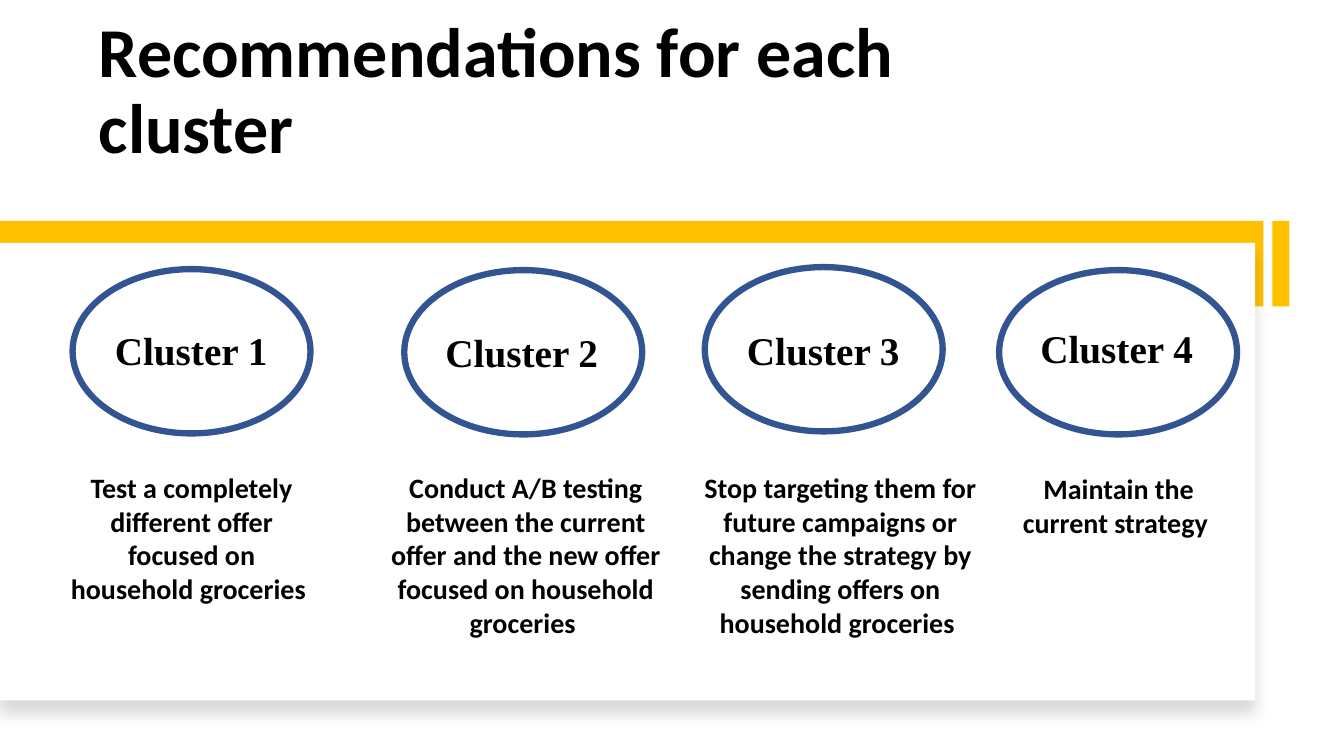
from dataclasses import dataclass

import lxml.etree
import pptx
import pptx.dml.color
import pptx.enum.shapes
import pptx.enum.text
import pptx.oxml.ns
import pptx.util

Inches = pptx.util.Inches
Align = pptx.enum.text.PP_ALIGN
Kind = pptx.enum.shapes.MSO_SHAPE

COLORS = {"gold": "FFC000", "panel": "FFFFFF", "ring": "325491",
          "text": "000000", "shade": "000000"}
RING_W, RING_H = 2.36, 1.63
BAR_TOP, BAR_H = 2.19, 0.85


@dataclass
class Box:
    left: float
    top: float
    width: float
    height: float

    def place(self) -> tuple:
        return tuple(Inches(v) for v in (self.left, self.top, self.width, self.height))


@dataclass
class Cluster:
    name: str
    ring: tuple[float, float]
    label: Box
    advice: str
    body: Box


CLUSTERS = [
    Cluster("Cluster 1", (0.72, 2.67), Box(1.04, 3.19, 1.72, 0.57),
            "Test a completely different offer focused on household groceries ",
            Box(0.54, 4.62, 2.72, 1.45)),
    Cluster("Cluster 2", (4.01, 2.68), Box(4.32, 3.21, 1.74, 0.57),
            "Conduct A/B testing between the current offer and the new offer "
            "focused on household groceries ",
            Box(3.76, 4.62, 2.91, 1.78)),
    Cluster("Cluster 3", (6.99, 2.65), Box(7.31, 3.19, 2.04, 0.57),
            "Stop targeting them for future campaigns or change the strategy "
            "by sending offers on household groceries ",
            Box(6.87, 4.62, 2.93, 1.78)),
    Cluster("Cluster 4", (9.91, 2.68), Box(10.22, 3.17, 1.73, 0.57),
            "Maintain the current strategy ",
            Box(10, 4.63, 2.19, 0.77)),
]


def color(name: str) -> pptx.dml.color.RGBColor:
    return pptx.dml.color.RGBColor.from_string(COLORS[name])


def style(frame, text: str, size: float, font: str, align=Align.LEFT) -> None:
    frame.word_wrap = True
    frame.text = text
    par = frame.paragraphs[0]
    par.alignment = align
    for run in par.runs:
        run.font.size = pptx.util.Pt(size)
        run.font.name = font
        run.font.bold = True
        run.font.color.rgb = color("text")


def add_text(slide, box: Box, text: str, size: float, font: str, align=Align.LEFT) -> None:
    style(slide.shapes.add_textbox(*box.place()).text_frame, text, size, font, align)


def add_rect(slide, box: Box, fill: str):
    rect = slide.shapes.add_shape(Kind.RECTANGLE, *box.place())
    rect.shadow.inherit = False
    rect.fill.solid()
    rect.fill.fore_color.rgb = color(fill)
    rect.line.fill.background()
    return rect


def add_ring(slide, box: Box) -> None:
    ring = slide.shapes.add_shape(Kind.OVAL, *box.place())
    ring.shadow.inherit = False
    ring.fill.background()
    ring.line.color.rgb = color("ring")
    ring.line.width = pptx.util.Pt(4.5)


def add_shade(shape, alpha: int, blur: float, dist: float, angle: int) -> None:
    qn = pptx.oxml.ns.qn
    effects = shape.element.spPr.find(qn("a:effectLst"))
    shade = lxml.etree.SubElement(
        effects, qn("a:outerShdw"), blurRad=str(pptx.util.Pt(blur)),
        dist=str(pptx.util.Pt(dist)), dir=str(angle * 60000), rotWithShape="0")
    tone = lxml.etree.SubElement(shade, qn("a:srgbClr"), val=COLORS["shade"])
    lxml.etree.SubElement(tone, qn("a:alpha"), val=str(alpha * 1000))


def main() -> None:
    deck = pptx.Presentation()
    deck.slide_width, deck.slide_height = Inches(13.33), Inches(7.5)
    slide = deck.slides.add_slide(deck.slide_layouts[5])

    # Title
    title = slide.shapes.title
    title.left, title.top, title.width, title.height = Box(0.88, 0.42, 10.1, 1.3).place()
    style(title.text_frame, "Recommendations for each cluster", 50, "Calibri")
    title.text_frame.auto_size = pptx.enum.text.MSO_AUTO_SIZE.NONE
    title.text_frame.vertical_anchor = pptx.enum.text.MSO_ANCHOR.BOTTOM
    title.text_frame.paragraphs[0].line_spacing = 0.9

    # Gold bars and white panel
    add_rect(slide, Box(12.62, BAR_TOP, 0.17, BAR_H), "gold")
    add_rect(slide, Box(0, BAR_TOP, 12.53, BAR_H), "gold")
    panel = add_rect(slide, Box(0, 2.41, 12.45, 4.54), "panel")
    add_shade(panel, alpha=15, blur=11, dist=10, angle=90)

    # Clusters with their advice
    for item in CLUSTERS:
        add_ring(slide, Box(*item.ring, RING_W, RING_H))
        add_text(slide, item.label, item.name, 28, "Times New Roman")
        add_text(slide, item.body, item.advice, 20, "Calibri", Align.CENTER)

    deck.save("out.pptx")


if __name__ == "__main__":
    main()
